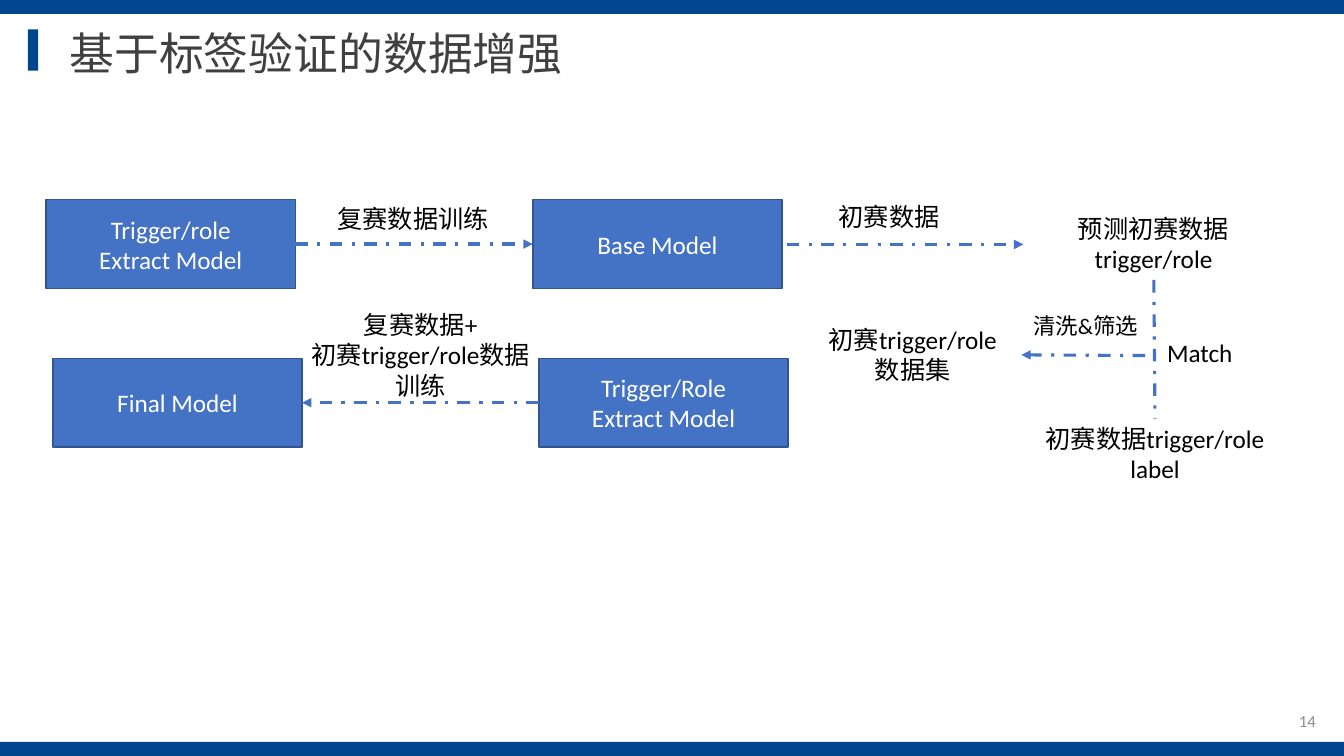
"""Build the slide on data augmentation by label verification."""
from lxml.etree import SubElement
from pptx import Presentation
from pptx.dml.color import RGBColor
from pptx.enum.dml import MSO_LINE
from pptx.enum.shapes import MSO_CONNECTOR as CONN, MSO_SHAPE as SHAPE
from pptx.enum.text import MSO_ANCHOR as ANCHOR, MSO_AUTO_SIZE as FIT, PP_ALIGN as ALIGN
from pptx.oxml.ns import qn
from pptx.util import Pt

W, H = 960, 540
COLORS = {"navy": "00468E", "blue": "4472C4", "edge": "325491", "white": "FFFFFF",
          "black": "000000", "title": "404040", "number": "8C8C8C"}
TITLE = "基于标签验证的数据增强"
BAR_H = 10
BARS = [(0, H - BAR_H, W, BAR_H), (0, 0, W, BAR_H), (20, 21, 7.2, 29.5)]

BOX_W, BOX_H = 178, 63.5
BOXES = {
    "extract": (33, 142.6, ["Trigger/role", "Extract Model"]),
    "base": (380.6, 142.6, ["Base Model"]),
    "final": (37.8, 255.9, ["Final Model"]),
    "retrain": (385, 255.9, ["Trigger/Role", "Extract Model"]),
}
JOINS = [("extract", 3, "base", 1), ("retrain", 1, "final", 3)]
LINES = [
    ((562, 174.6), (731, 174.6), True),
    ((824.2, 200), (825, 299), False),
    ((818, 254), (729.5, 253.5), True),
]
LABELS = [
    ((234, 142, 134, 29), ["复赛数据训练"], ALIGN.LEFT, 18),
    ((592, 140, 99, 29), ["初赛数据"], ALIGN.LEFT, 18),
    ((735, 149, 178, 51), ["预测初赛数据trigger/role"], ALIGN.CENTER, 18),
    ((735, 299, 180, 51), ["初赛数据trigger/role", "label"], ALIGN.CENTER, 18),
    ((826.5, 237.5, 99, 29), ["Match"], ALIGN.LEFT, 18),
    ((574, 228, 156, 51), ["初赛trigger/role", "数据集"], ALIGN.CENTER, 18),
    ((731, 219.5, 117, 27), ["清洗&筛选"], ALIGN.LEFT, 16),
    ((188, 217.5, 225, 73), ["复赛数据+", "初赛trigger/role数据", "训练"], ALIGN.CENTER, 18),
]


def rgb(name):
    return RGBColor.from_string(COLORS[name])


def write(sp, lines, *, size=18, color="black", font="Calibri", align=ALIGN.LEFT,
          anchor=ANCHOR.TOP, wrap=True):
    tf = sp.text_frame
    tf.auto_size, tf.word_wrap, tf.vertical_anchor = FIT.NONE, wrap, anchor
    for i, line in enumerate(lines):
        p = tf.add_paragraph() if i else tf.paragraphs[0]
        p.alignment, p.line_spacing = align, 1.0
        r = p.add_run()
        r.text = line
        r.font.size, r.font.name = Pt(size), font
        r.font.color.rgb = rgb(color)


def add_rect(s, place, fill, edge=None):
    sp = s.shapes.add_shape(SHAPE.RECTANGLE, *map(Pt, place))
    sp.shadow.inherit = False
    sp.fill.solid()
    sp.fill.fore_color.rgb = rgb(fill)
    if edge:
        sp.line.color.rgb, sp.line.width = rgb(edge), Pt(1)
    else:
        sp.line.fill.background()
    return sp


def add_line(s, start=(0, 0), end=(0, 0), arrow=True):
    c = s.shapes.add_connector(CONN.STRAIGHT, *map(Pt, (*start, *end)))
    c.line.color.rgb, c.line.width = rgb("blue"), Pt(2.25)
    c.line.dash_style = MSO_LINE.DASH_DOT
    if arrow:
        SubElement(c.line._get_or_add_ln(), qn("a:tailEnd"), type="triangle")
    SubElement(c._element.spPr, qn("a:effectLst"))
    return c


def add_text(s, place, lines, **fmt):
    write(s.shapes.add_textbox(*map(Pt, place)), lines, **fmt)


def main():
    prs = Presentation()
    prs.slide_width, prs.slide_height = Pt(W), Pt(H)
    s = prs.slides.add_slide(prs.slide_layouts[5])

    title = s.shapes.title
    title.left, title.top, title.width, title.height = map(Pt, (42.5, 14.5, 368, 46))
    write(title, [TITLE], size=32, color="title", font="Times New Roman", wrap=False)

    for place in BARS:
        add_rect(s, place, "navy")
    add_text(s, (731, 500.5, 216, 28.8), ["14"], size=12, color="number",
             align=ALIGN.RIGHT, anchor=ANCHOR.MIDDLE)

    boxes = {}
    for name, (x, y, lines) in BOXES.items():
        boxes[name] = add_rect(s, (x, y, BOX_W, BOX_H), "blue", "edge")
        write(boxes[name], lines, color="white", align=ALIGN.CENTER, anchor=ANCHOR.MIDDLE)

    for source, out_side, target, in_side in JOINS:
        c = add_line(s)
        c.begin_connect(boxes[source], out_side)
        c.end_connect(boxes[target], in_side)
    for start, end, arrow in LINES:
        add_line(s, start, end, arrow)

    for place, lines, align, size in LABELS:
        add_text(s, place, lines, align=align, size=size)

    prs.save("out.pptx")


if __name__ == "__main__":
    main()
